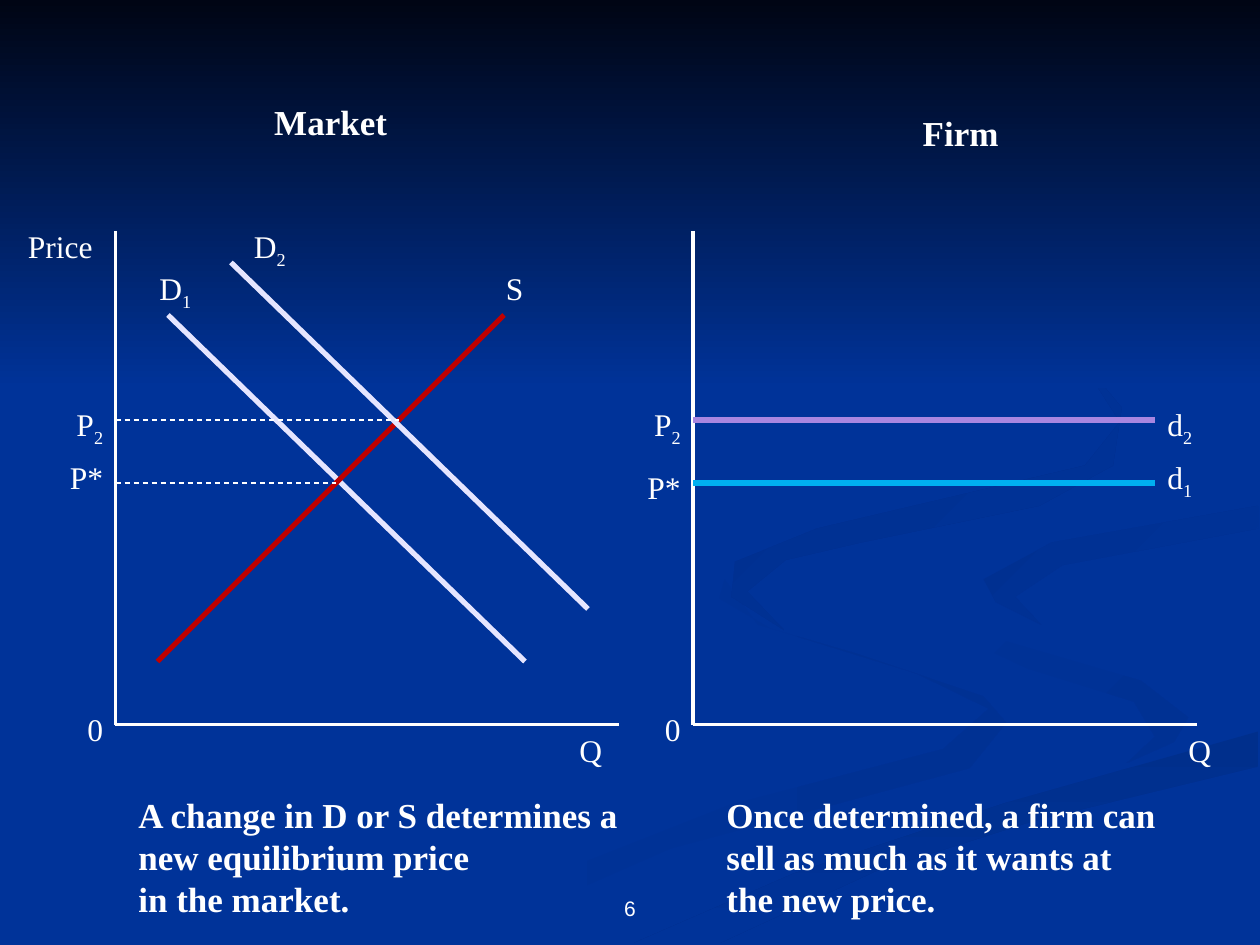
"""Draw a slide on how market demand shifts set the price facing one firm."""
from dataclasses import dataclass

from lxml import etree
from pptx import Presentation
from pptx.dml.color import RGBColor
from pptx.enum import dml, shapes, text
from pptx.oxml import ns
from pptx.util import Pt

WHITE, BLUE, DEMAND = "FFFFFF", "003399", "E5E5FF"
SERIF = "Times New Roman"
LEFT, CENTER, RIGHT = text.PP_ALIGN.LEFT, text.PP_ALIGN.CENTER, text.PP_ALIGN.RIGHT
AXIS_TOP, AXIS_BOTTOM, AXIS_LENGTH = 132, 414, 288
MARKET_X, FIRM_X, FIRM_END = 66, 396, 660
NEW_PRICE, OLD_PRICE = 240, 276
PRICE_LABEL_TOP = NEW_PRICE - 12
DEMAND_RUN, DEMAND_RISE = 204, 198


@dataclass
class Ribbon:
    start: str
    end: str
    angle: int
    points: list


@dataclass
class Segment:
    x1: float
    y1: float
    x2: float
    y2: float
    color: str = WHITE
    weight: float = 2.25
    dashed: bool = False


@dataclass
class Label:
    words: str
    left: float
    top: float
    subscript: str = ""
    align: text.PP_ALIGN = LEFT
    width: float = 48
    height: float = 28.8
    size: float = 18
    bold: bool = False


RIBBONS = [
    Ribbon(BLUE, "003193", 0, [
        (562, 398), (491, 374), (433, 357), (414, 331), (411, 342), (440, 359), (524, 385),
        (565, 405), (539, 428), (417, 460), (216, 539), (260, 539), (383, 485), (554, 439),
        (575, 413)]),
    Ribbon(BLUE, "003193", 45, [
        (679, 410), (652, 389), (546, 358), (521, 334), (532, 356), (587, 382), (648, 401),
        (660, 421), (644, 436), (671, 424)]),
    Ribbon("002F8C", BLUE, 90, [
        (362, 539), (411, 539), (500, 498), (591, 469), (719, 438), (719, 418), (574, 459),
        (454, 499)]),
    Ribbon("003091", BLUE, 45, [
        (562, 331), (569, 344), (595, 357), (580, 341), (607, 323), (719, 302), (719, 289),
        (601, 310)]),
    Ribbon("002F8E", BLUE, 45, [
        (492, 310), (594, 289), (636, 266), (641, 233), (606, 191), (549, 168), (620, 210),
        (640, 241), (620, 266), (467, 302), (420, 321), (418, 341), (448, 360), (427, 338),
        (449, 320)]),
]

SEGMENTS = [
    Segment(96, 180, 96 + DEMAND_RUN, 180 + DEMAND_RISE, DEMAND, 3),
    Segment(90, 378, 288, 180, "C00000", 3),
    Segment(132, 150, 132 + DEMAND_RUN, 150 + DEMAND_RISE, DEMAND, 3),
    Segment(MARKET_X, OLD_PRICE, 192, OLD_PRICE, weight=0.75, dashed=True),
    Segment(MARKET_X, NEW_PRICE, 228, NEW_PRICE, weight=0.75, dashed=True),
    *[segment for x in (MARKET_X, FIRM_X) for segment in (
        Segment(x, AXIS_TOP, x, AXIS_BOTTOM),
        Segment(x, AXIS_BOTTOM, x + AXIS_LENGTH, AXIS_BOTTOM))],
    Segment(FIRM_X, OLD_PRICE, FIRM_END, OLD_PRICE, "00B0F0", 3),
    Segment(FIRM_X, NEW_PRICE, FIRM_END, NEW_PRICE, "A886E0", 3),
]

HEADING = dict(align=CENTER, width=210, height=31, size=20, bold=True)
CAPTION = dict(height=80, size=20, bold=True)
LABELS = [
    Label("Market", 84, 54, **HEADING),
    Label("Firm", 444, 60, **HEADING),
    Label("Price", 0, 126, align=RIGHT, width=60),
    Label("D", 84, 150, "1"),
    Label("D", 138, 126, "2"),
    Label("S", 282, 150),
    *[Label("P", x - 48, PRICE_LABEL_TOP, "2", RIGHT) for x in (MARKET_X, FIRM_X)],
    Label("P*", MARKET_X - 48, 258, align=RIGHT),
    Label("P*", FIRM_X - 48, 264, align=RIGHT),
    Label("d", FIRM_END, PRICE_LABEL_TOP, "2"),
    Label("d", FIRM_END, 258, "1"),
    *[Label("0", x - 30, 402, align=RIGHT, width=30) for x in (MARKET_X, FIRM_X)],
    *[Label("Q", left, AXIS_BOTTOM) for left in (324, 672)],
    Label("A change in D or S determines a new equilibrium price \vin the market.",
          72, 450, width=294, **CAPTION),
    Label("Once determined, a firm can sell as much as it wants at the new price.",
          408, 450, width=264, **CAPTION),
]


def rgb(value: str) -> RGBColor:
    """Turn a hex string into a colour."""
    return RGBColor.from_string(value)


def paint(shape, start: str, end: str, angle: int) -> None:
    """Fill a borderless shape with a linear gradient."""
    shape.shadow.inherit = False
    shape.line.fill.background()
    shape.fill.gradient()
    shape.fill.gradient_angle = (360 - angle) % 360
    for stop, color in zip(shape.fill.gradient_stops, (start, end)):
        stop.color.rgb = rgb(color)


def draw_ribbon(page, ribbon: Ribbon) -> None:
    """Draw one background swirl."""
    builder = page.shapes.build_freeform(*ribbon.points[0], scale=Pt(1))
    builder.add_line_segments(ribbon.points[1:], close=True)
    paint(builder.convert_to_shape(), ribbon.start, ribbon.end, ribbon.angle)


def draw_segment(page, segment: Segment) -> None:
    """Draw one straight line of a graph."""
    ends = (Pt(v) for v in (segment.x1, segment.y1, segment.x2, segment.y2))
    connector = page.shapes.add_connector(shapes.MSO_CONNECTOR.STRAIGHT, *ends)
    connector.line.color.rgb = rgb(segment.color)
    connector.line.width = Pt(segment.weight)
    if segment.dashed:
        connector.line.dash_style = dml.MSO_LINE.DASH
    etree.SubElement(connector._element.spPr, ns.qn("a:effectLst"))


def draw_label(page, label: Label, font: str = SERIF):
    """Write one text box and return it."""
    box = page.shapes.add_textbox(
        *(Pt(v) for v in (label.left, label.top, label.width, label.height)))
    box.text_frame.word_wrap = True
    para = box.text_frame.paragraphs[0]
    para.text = label.words
    para.alignment = label.align
    if label.subscript:
        span = para.add_run()
        span.text = label.subscript
        span._r.get_or_add_rPr().set("baseline", "-25000")
    para.font.name = font
    para.font.size = Pt(label.size)
    para.font.bold = label.bold
    para.font.color.rgb = rgb(WHITE)
    return box


def main() -> None:
    """Build and save the deck."""
    deck = Presentation()
    deck.slide_width, deck.slide_height = Pt(720), Pt(540)
    page = deck.slides.add_slide(deck.slide_layouts[6])
    page.background.fill.solid()
    page.background.fill.fore_color.rgb = rgb(BLUE)
    for ribbon in RIBBONS:
        draw_ribbon(page, ribbon)
    sky = page.shapes.add_shape(
        shapes.MSO_SHAPE.RECTANGLE, Pt(0), Pt(0), deck.slide_width, Pt(222))
    paint(sky, "000514", BLUE, 90)
    for segment in SEGMENTS:
        draw_segment(page, segment)
    for label in LABELS:
        draw_label(page, label)
    number = Label("6", 246, 492, align=CENTER, width=228, height=37.5, size=12)
    draw_label(page, number, "Arial").text_frame.vertical_anchor = text.MSO_ANCHOR.BOTTOM
    deck.save("out.pptx")


if __name__ == "__main__":
    main()
